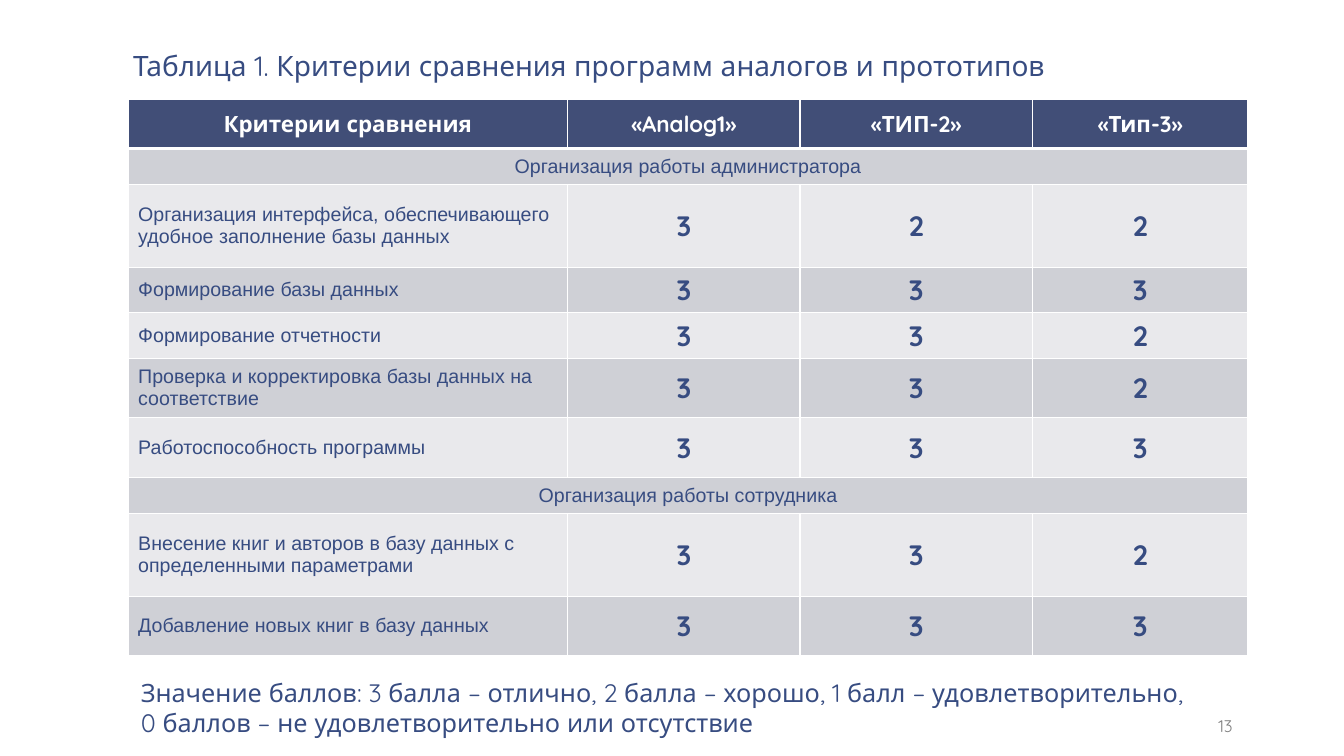
from lxml import etree
from pptx import Presentation
from pptx.dml.color import RGBColor
from pptx.enum.text import MSO_ANCHOR, PP_ALIGN
from pptx.oxml.ns import qn
from pptx.util import Pt

LEFT, CENTER, RIGHT = PP_ALIGN.LEFT, PP_ALIGN.CENTER, PP_ALIGN.RIGHT
TOP, MIDDLE, BOTTOM = MSO_ANCHOR.TOP, MSO_ANCHOR.MIDDLE, MSO_ANCHOR.BOTTOM

BLUE, NAVY, WHITE, GRAY = "374C81", "414E77", "FFFFFF", "808080"
BANDS = ("E9E9EC", "CFD0D6")

COLUMN_WIDTHS = (314, 166, 166, 154)
ROW_HEIGHTS = (35, 26, 59, 32.5, 32.5, 42.5, 42.5, 26, 59, 42.5)
HEADER = ("Критерии сравнения", "«Analog1»", "«ТИП-2»", "«Тип-3»")
# A row with a single entry is a section heading across the table.
ROWS = (
    ("Организация работы администратора",),
    ("Организация интерфейса, обеспечивающего удобное заполнение базы данных", 3, 2, 2),
    ("Формирование базы данных", 3, 3, 3),
    ("Формирование отчетности", 3, 3, 2),
    ("Проверка и корректировка базы данных на соответствие", 3, 3, 2),
    ("Работоспособность программы", 3, 3, 3),
    ("Организация работы сотрудника",),
    ("Внесение книг и авторов в базу данных с определенными параметрами", 3, 3, 2),
    ("Добавление новых книг в базу данных", 3, 3, 3),
)


def color(value):
    return RGBColor.from_string(value)


def write(frame, text, size, font="Quicksand", fill=BLUE, bold=False,
          align=LEFT, spacing=None):
    """Fill a text frame, one paragraph for each line of text."""
    for index, line in enumerate(text.split("\n")):
        paragraph = frame.add_paragraph() if index else frame.paragraphs[0]
        paragraph.alignment = align
        if spacing:
            paragraph.line_spacing = spacing
        run = paragraph.add_run()
        run.text = line
        run.font.name = font
        run.font.size = Pt(size)
        run.font.bold = bold
        run.font.color.rgb = color(fill)


def add_text(slide, text, left, top, width, height, size, wrap=False,
             anchor=TOP, **text_format):
    box = slide.shapes.add_textbox(Pt(left), Pt(top), Pt(width), Pt(height))
    box.text_frame.word_wrap = wrap
    box.text_frame.vertical_anchor = anchor
    write(box.text_frame, text, size, **text_format)


def set_borders(cell, **widths):
    """Draw white borders; widths are given for L, R, T and B."""
    properties = cell._tc.get_or_add_tcPr()
    for side in "LRTB":
        line = etree.SubElement(properties, qn(f"a:ln{side}"), w=str(Pt(widths.get(side, 1))))
        fill = etree.SubElement(line, qn("a:solidFill"))
        etree.SubElement(fill, qn("a:srgbClr"), val=WHITE)


def style_cell(cell, background, **border_widths):
    set_borders(cell, **border_widths)
    cell.fill.solid()
    cell.fill.fore_color.rgb = color(background)
    cell.vertical_anchor = MIDDLE


def add_comparison_table(slide, left, top):
    frame = slide.shapes.add_table(
        len(ROW_HEIGHTS), len(COLUMN_WIDTHS), Pt(left), Pt(top),
        Pt(sum(COLUMN_WIDTHS)), Pt(sum(ROW_HEIGHTS)))
    table = frame.table
    for column, width in zip(table.columns, COLUMN_WIDTHS):
        column.width = Pt(width)
    for row, height in zip(table.rows, ROW_HEIGHTS):
        row.height = Pt(height)

    for cell, name in zip(table.rows[0].cells, HEADER):
        style_cell(cell, NAVY, B=3)
        write(cell.text_frame, name, 16, fill=WHITE, bold=True, align=CENTER)

    for number, (label, *scores) in enumerate(ROWS, start=1):
        cells = list(table.rows[number].cells)
        for cell in cells:
            style_cell(cell, BANDS[number % 2], T=3 if number == 1 else 1)
        if not scores:
            cells[0].merge(cells[-1])
        write(cells[0].text_frame, label, 14, font="Arial",
              align=LEFT if scores else CENTER)
        for cell, score in zip(cells[1:], scores):
            write(cell.text_frame, str(score), 20, bold=True, align=CENTER)


def main():
    presentation = Presentation()
    presentation.slide_width, presentation.slide_height = Pt(960), Pt(540)
    slide = presentation.slides.add_slide(presentation.slide_layouts[6])
    add_comparison_table(slide, 91.5, 71)
    add_text(slide, "13", 800.5, 504, 87, 25, 12, wrap=True, anchor=BOTTOM,
             fill=GRAY, align=RIGHT)
    add_text(slide, "Таблица 1. Критерии сравнения программ аналогов и прототипов",
             88, 33, 695, 30, 20, spacing=0.95)
    add_text(slide, "Значение баллов: 3 балла – отлично, 2 балла – хорошо, "
             "1 балл – удовлетворительно,\n"
             "0 баллов – не удовлетворительно или отсутствие",
             93.5, 480, 789, 51, 18)
    presentation.save("out.pptx")


if __name__ == "__main__":
    main()
